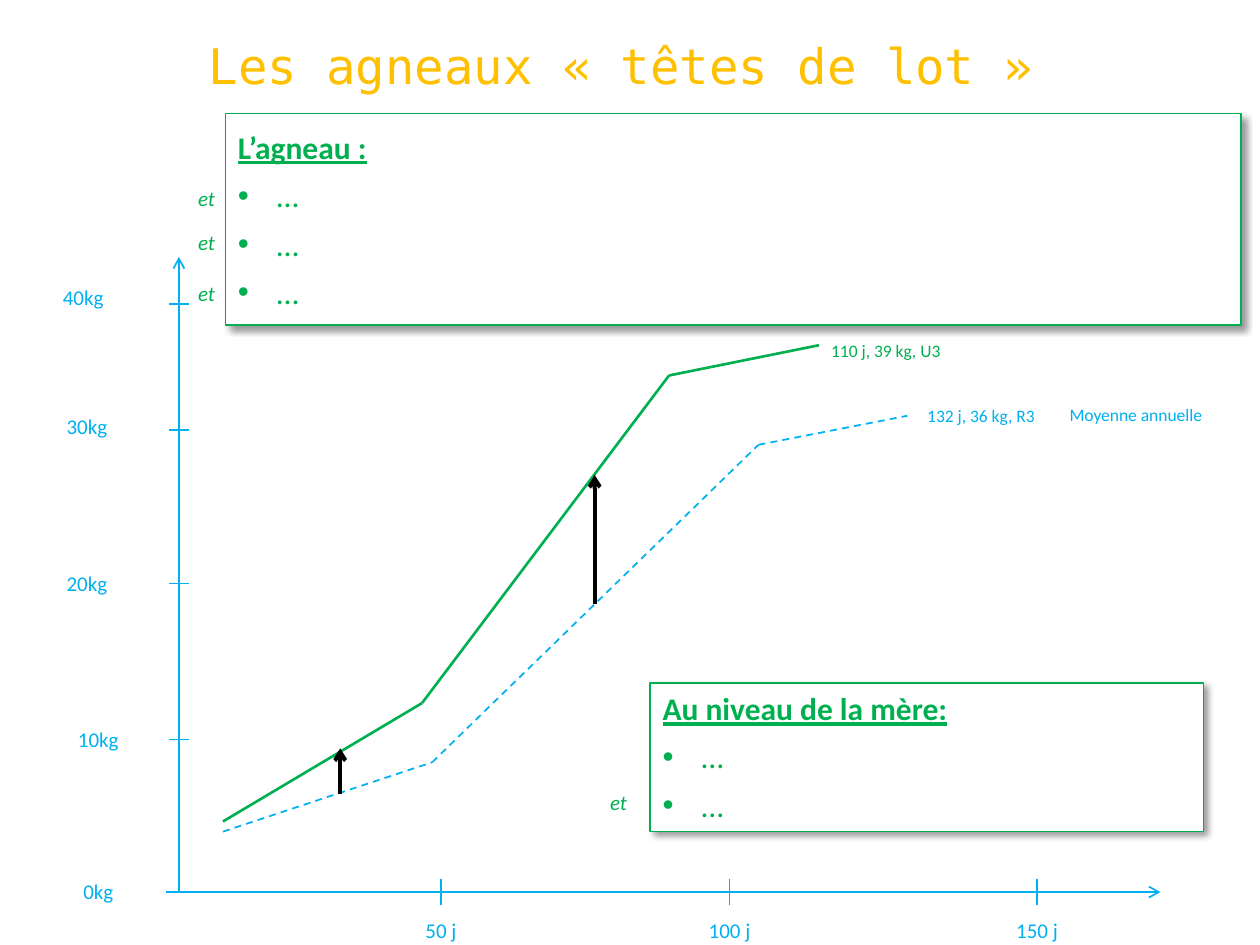
import itertools
from dataclasses import dataclass

import lxml.etree
import pptx
import pptx.dml.color
import pptx.enum.dml
import pptx.enum.shapes
import pptx.enum.text
import pptx.oxml.ns
import pptx.util

Inches = pptx.util.Inches
Pt = pptx.util.Pt
qn = pptx.oxml.ns.qn
ALIGN = pptx.enum.text.PP_ALIGN
ANCHOR = pptx.enum.text.MSO_ANCHOR


@dataclass(frozen=True)
class Theme:
    blue: str = "00B0F0"
    green: str = "00B050"
    gold: str = "FFC000"
    black: str = "000000"
    white: str = "FFFFFF"
    body_font: str = "Calibri"
    title_font: str = "DejaVu Sans Mono"
    title: int = 28
    heading: int = 18
    label: int = 12
    note: int = 10


THEME = Theme()


def rgb(value):
    return pptx.dml.color.RGBColor.from_string(value)


def sub(parent, tag, **attrs):
    """Add a child element with the given attributes."""
    el = lxml.etree.SubElement(parent, qn(tag))
    for key, value in attrs.items():
        el.set(key, str(value))
    return el


def style(r, color, size, font=THEME.body_font, **formats):
    values = {"name": font, "size": Pt(size), **formats}
    for key, value in values.items():
        setattr(r.font, key, value)
    r.font.color.rgb = rgb(color)


def add_text(slide, text, box, color, size, align=ALIGN.CENTER,
             anchor=ANCHOR.TOP, **formats):
    s = slide.shapes.add_textbox(*map(Inches, box))
    tf = s.text_frame
    tf.word_wrap = align == ALIGN.CENTER
    tf.vertical_anchor = anchor
    p = tf.paragraphs[0]
    p.alignment = align
    r = p.add_run()
    r.text = text
    style(r, color, size, **formats)


def add_line(slide, start, end, color, width=1, dash=False, arrow=False):
    s = slide.shapes.add_connector(pptx.enum.shapes.MSO_CONNECTOR.STRAIGHT,
                                   *map(Inches, (*start, *end)))
    s.line.color.rgb = rgb(color)
    s.line.width = Pt(width)
    if dash:
        s.line.dash_style = pptx.enum.dml.MSO_LINE.DASH
    if arrow:
        sub(s.line._get_or_add_ln(), "a:tailEnd", type="arrow")
    sub(s._element.spPr, "a:effectLst")


def add_shadow(s):
    s.shadow.inherit = False
    effects = s._element.spPr.find(qn("a:effectLst"))
    shadow = sub(effects, "a:outerShdw", blurRad=Pt(4), dist=Pt(3),
                 dir=45 * 60000, algn="tl", rotWithShape=0)
    color = sub(shadow, "a:srgbClr", val=THEME.black)
    sub(color, "a:alpha", val=40000)


def add_bullet(p):
    pPr = p._p.get_or_add_pPr()
    indent = Inches(0.31)
    pPr.set("marL", str(indent))
    pPr.set("indent", str(-indent))
    sub(pPr, "a:buFont", typeface="Arial")
    sub(pPr, "a:buChar", char="•")


def build_title(slide, box, text):
    s = slide.shapes.title
    s.left, s.top, s.width, s.height = map(Inches, box)
    tf = s.text_frame
    tf.vertical_anchor = ANCHOR.MIDDLE
    p = tf.paragraphs[0]
    p.alignment = ALIGN.CENTER
    r = p.add_run()
    r.text = text
    style(r, THEME.gold, THEME.title, THEME.title_font)


def build_axes(slide, box):
    left, top, width, height = box
    bottom = top + height
    blue = THEME.blue
    add_line(slide, (left, bottom), (left, top), blue, arrow=True)
    add_line(slide, (left - 0.1, bottom), (left + width, bottom), blue, arrow=True)

    # Weight scale: label, tick, label left and label top from the box corner
    weights = [("40kg", 0.37, -1.3, 0.17), ("30kg", 1.37, -1.27, 1.19),
               ("20kg", 2.59, -1.27, 2.44), ("10kg", 3.83, -1.18, 3.68),
               ("0kg", None, -1.18, 4.88)]
    for text, tick, dx, dy in weights:
        if tick is not None:
            y = top + tick
            add_line(slide, (left - 0.08, y), (left + 0.08, y), blue)
        add_text(slide, text, (left + dx, top + dy, 1.08, 0.3), blue, THEME.label)

    # Age scale
    for text, dx in (("50 j", 2.08), ("100 j", 4.37), ("150 j", 6.81)):
        x = left + dx
        add_line(slide, (x, bottom - 0.1), (x, bottom + 0.1), blue)
        add_text(slide, text, (x - 0.54, bottom + 0.15, 1.08, 0.3), blue, THEME.label)


def build_curves(slide, box):
    left, top = box[:2]

    def at(x, y):
        return left + x, top + y

    # Growth curves
    average = [(0.35, 4.56), (2.01, 4.01), (4.6, 1.49), (5.78, 1.26)]
    leaders = [(0.35, 4.48), (1.93, 3.54), (3.89, 0.94), (5.08, 0.7)]
    for points, color, width, dash in ((average, THEME.blue, 1, True),
                                       (leaders, THEME.green, 1.5, False)):
        for start, end in itertools.pairwise(points):
            add_line(slide, at(*start), at(*end), color, width, dash)

    # Gaps between the curves
    for x, low, high in ((3.3, 2.75, 1.73), (1.28, 4.26, 3.9)):
        add_line(slide, at(x, low), at(x, high), THEME.black, 2.25, arrow=True)

    # Curve labels
    labels = [("110 j, 39 kg, U3", 4.84, 0.55, 1.54, 0.39, THEME.green, ALIGN.CENTER),
              ("132 j, 36 kg, R3", 5.61, 1.06, 1.51, 0.39, THEME.blue, ALIGN.CENTER),
              ("Moyenne annuelle", 6.97, 1.14, 1.29, 0.22, THEME.blue, ALIGN.LEFT)]
    for text, x, y, w, h, color, align in labels:
        add_text(slide, text, (*at(x, y), w, h), color, THEME.note, align,
                 ANCHOR.MIDDLE)


def build_panel(slide, box, heading, bullets, border, anchor, and_dx, and_tops):
    left, top = box[:2]
    s = slide.shapes.add_shape(pptx.enum.shapes.MSO_SHAPE.RECTANGLE,
                               *map(Inches, box))
    s.fill.solid()
    s.fill.fore_color.rgb = rgb(THEME.white)
    s.line.color.rgb = rgb(THEME.green)
    s.line.width = Pt(border)
    add_shadow(s)

    # Heading, then bullets
    tf = s.text_frame
    tf.word_wrap = True
    tf.vertical_anchor = anchor
    for i, text in enumerate([heading, *bullets]):
        p = tf.add_paragraph() if i else tf.paragraphs[0]
        p.alignment = ALIGN.LEFT
        p.space_after = Pt(6)
        if i:
            add_bullet(p)
        r = p.add_run()
        r.text = text
        style(r, THEME.green, THEME.heading, bold=i == 0, underline=i == 0)

    # Linking words beside the bullets
    for dy in and_tops:
        add_text(slide, "et", (left + and_dx, top + dy, 0.5, 0.3),
                 THEME.green, THEME.label, italic=True)


def main():
    prs = pptx.Presentation()
    prs.slide_width, prs.slide_height = Inches(10), Inches(7.5)
    slide = prs.slides.add_slide(prs.slide_layouts[5])
    plot = (1.42, 2.04, 7.79, 5.04)
    build_title(slide, (0.43, 0.13, 9, 0.77), "Les agneaux «\u00a0têtes de lot\u00a0»".replace("\u00a0", chr(160)))
    build_curves(slide, plot)
    build_axes(slide, plot)
    build_panel(slide, (1.79, 0.9, 8.06, 1.68), "L’agneau :", ["…"] * 3, 1,
                ANCHOR.MIDDLE, -0.4, (0.52, 0.87, 1.28))
    build_panel(slide, (5.16, 5.42, 4.39, 1.18), "Au niveau de la mère:", ["…"] * 2,
                0.75, ANCHOR.TOP, -0.5, (0.8,))
    prs.save("out.pptx")


if __name__ == "__main__":
    main()
